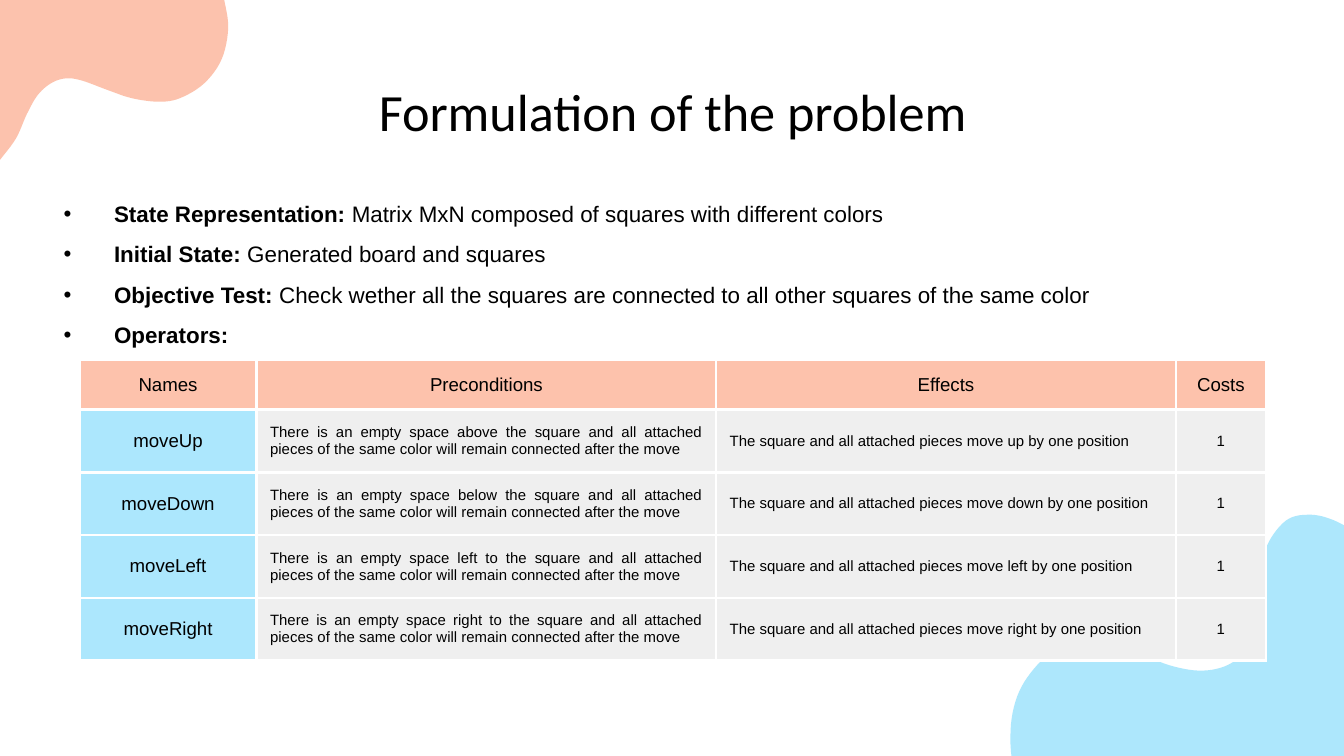
from lxml import etree
from pptx import Presentation
from pptx.dml.color import RGBColor
from pptx.enum.text import MSO_ANCHOR, PP_ALIGN
from pptx.oxml.ns import qn
from pptx.util import Pt

CENTER, JUSTIFY = PP_ALIGN.CENTER, PP_ALIGN.JUSTIFY
TOP, MIDDLE = MSO_ANCHOR.TOP, MSO_ANCHOR.MIDDLE

BLACK = RGBColor(0x00, 0x00, 0x00)
WHITE = RGBColor(0xFF, 0xFF, 0xFF)
ORANGE = RGBColor(0xFA, 0x7F, 0x51)
BLUE = RGBColor(0x51, 0xCD, 0xFA)
HEADER_FILL = RGBColor(0xFD, 0xC2, 0xAC)
NAME_FILL = RGBColor(0xAC, 0xE7, 0xFD)
CELL_FILL = RGBColor(0xEF, 0xEF, 0xEF)

INSET = Pt(7.2)
BLOB_OPACITY = 47
CURVE_STEPS = 6

# Knots of the wavy edges, in points
TOP_EDGE = [
    (120.2, 0), (122.3, 15), (118.8, 31.7), (109.5, 44.6), (96.5, 52.6),
    (85, 54.5), (70.6, 52.6), (57.6, 48.2), (44, 43.2), (35.3, 42),
    (27.4, 44.6), (20.2, 51), (14.4, 61.2), (8.6, 74.2), (0, 85.7),
]
BOTTOM_EDGE = [
    (819.4, 438.5), (822.2, 393.8), (824.4, 377.3), (820.8, 363.6),
    (810, 355.7), (797.8, 352.8), (782.6, 350.6), (769.7, 344.9),
    (758.9, 335.5), (746.6, 316.8), (733.7, 293.8), (724.3, 284.4),
    (714.2, 278.6), (702.7, 275.8), (690.5, 277.9), (681.1, 288),
    (676.1, 301), (673.9, 319), (671.8, 337), (666, 349.9),
    (655.9, 357.1), (642.2, 359.3), (626.4, 356.4), (612, 350.6),
    (596.9, 345.6), (581, 343.4), (565.9, 347.8), (553.7, 358.6),
    (545, 373), (541.4, 391.7), (543.6, 414), (554.4, 439.9),
]

BULLETS = [
    ("State Representation: ", "Matrix MxN composed of squares with different colors"),
    ("Initial State: ", "Generated board and squares"),
    ("Objective Test: ", "Check wether all the squares are connected to all "
                         "other squares of the same color"),
    ("Operators:", ""),
]
HEADERS = ["Names", "Preconditions", "Effects", "Costs"]
# Operator, where the empty space is, direction of the move
OPERATORS = [
    ("moveUp", "above", "up"),
    ("moveDown", "below", "down"),
    ("moveLeft", "left to", "left"),
    ("moveRight", "right to", "right"),
]
COLUMN_WIDTHS = [95, 246.2, 246.2, 48.4]


def smooth(knots):
    """Return points on a Catmull-Rom curve through the knots."""
    padded = [knots[0], *knots, knots[-1]]
    points = [knots[0]]
    for a, b, c, d in zip(padded, padded[1:], padded[2:], padded[3:]):
        for step in range(1, CURVE_STEPS + 1):
            t = step / CURVE_STEPS
            points.append(tuple(
                (2 * q + (r - p) * t + (2 * p - 5 * q + 4 * r - s) * t ** 2
                 + (3 * q - p - 3 * r + s) * t ** 3) / 2
                for p, q, r, s in zip(a, b, c, d)))
    return points


def add_blob(slide, points, color):
    (x, y), *rest = [(Pt(px), Pt(py)) for px, py in points]
    builder = slide.shapes.build_freeform(x, y)
    builder.add_line_segments(rest, close=True)
    sp = builder.convert_to_shape()
    sp.shadow.inherit = False
    sp.fill.solid()
    sp.fill.fore_color.rgb = color
    sp.line.fill.background()
    clr = sp.fill._xPr.find(qn("a:solidFill"))[0]
    etree.SubElement(clr, qn("a:alpha"), val=str(BLOB_OPACITY * 1000))


def add_run(p, text, size, font="Arial", bold=False):
    r = p.add_run()
    r.text = text
    r.font.size = Pt(size)
    r.font.name = font
    r.font.bold = bold
    r.font.color.rgb = BLACK


def add_text_frame(slide, left, top, width, height, anchor):
    sp = slide.shapes.add_textbox(Pt(left), Pt(top), Pt(width), Pt(height))
    tf = sp.text_frame
    tf.word_wrap = True
    tf.vertical_anchor = anchor
    tf.margin_left = tf.margin_right = tf.margin_top = tf.margin_bottom = INSET
    return tf


def add_title(slide, text):
    p = add_text_frame(slide, 57.6, 42.5, 605.5, 33.8, MIDDLE).paragraphs[0]
    p.alignment = CENTER
    add_run(p, text, 28, "Calibri")


def add_bullets(slide, items):
    tf = add_text_frame(slide, 18, 92.9, 610.6, 106.6, TOP)
    for i, (label, detail) in enumerate(items):
        p = tf.add_paragraph() if i else tf.paragraphs[0]
        p.alignment = JUSTIFY
        p.line_spacing = 1.5
        pPr = p._p.get_or_add_pPr()
        pPr.set("marL", str(Pt(36)))
        pPr.set("indent", str(Pt(-27)))
        clr = etree.SubElement(pPr, qn("a:buClr"))
        etree.SubElement(clr, qn("a:srgbClr"), val=str(BLACK))
        etree.SubElement(pPr, qn("a:buFont"), typeface="Arial")
        etree.SubElement(pPr, qn("a:buChar"), char="•")
        add_run(p, label, 12, bold=True)
        if detail:
            add_run(p, detail, 12)


def set_borders(cell):
    tcPr = cell._tc.get_or_add_tcPr()
    for i, side in enumerate(("lnL", "lnR", "lnT", "lnB")):
        ln = etree.Element(qn(f"a:{side}"), w=str(Pt(1.5)))
        fill = etree.SubElement(ln, qn("a:solidFill"))
        etree.SubElement(fill, qn("a:srgbClr"), val=str(WHITE))
        tcPr.insert(i, ln)


def fill_cell(cell, text, size, fill, align):
    cell.fill.solid()
    cell.fill.fore_color.rgb = fill
    set_borders(cell)
    cell.vertical_anchor = MIDDLE
    cell.margin_left = cell.margin_right = INSET
    cell.margin_top = cell.margin_bottom = INSET
    p = cell.text_frame.paragraphs[0]
    p.alignment = align
    add_run(p, text, size)


def add_operator_table(slide):
    frame = slide.shapes.add_table(len(OPERATORS) + 1, len(HEADERS), Pt(42.5),
                                   Pt(193), Pt(sum(COLUMN_WIDTHS)), Pt(160.6))
    table = frame.table
    for column, width in zip(table.columns, COLUMN_WIDTHS):
        column.width = Pt(width)
    for i, row in enumerate(table.rows):
        row.height = Pt(30.2 if i else 24)

    for cell, header in zip(table.rows[0].cells, HEADERS):
        fill_cell(cell, header, 10, HEADER_FILL, CENTER)
    for i, (name, place, direction) in enumerate(OPERATORS, start=1):
        precondition = (f"There is an empty space {place} the square and all attached pieces "
                        "of the same color will remain connected after the move")
        effect = f"The square and all attached pieces move {direction} by one position"
        cells = table.rows[i].cells
        fill_cell(cells[0], name, 10, NAME_FILL, CENTER)
        fill_cell(cells[1], precondition, 8, CELL_FILL, JUSTIFY)
        fill_cell(cells[2], effect, 8, CELL_FILL, JUSTIFY)
        fill_cell(cells[3], "1", 8, CELL_FILL, CENTER)


def main():
    prs = Presentation()
    prs.slide_width, prs.slide_height = Pt(720), Pt(405)
    slide = prs.slides.add_slide(prs.slide_layouts[6])

    # Corner decorations
    add_blob(slide, [(0, 0), *smooth(TOP_EDGE)], ORANGE)
    add_blob(slide, smooth(BOTTOM_EDGE), BLUE)

    # Content
    add_title(slide, "Formulation of the problem")
    add_bullets(slide, BULLETS)
    add_operator_table(slide)

    prs.save("out.pptx")


if __name__ == "__main__":
    main()
